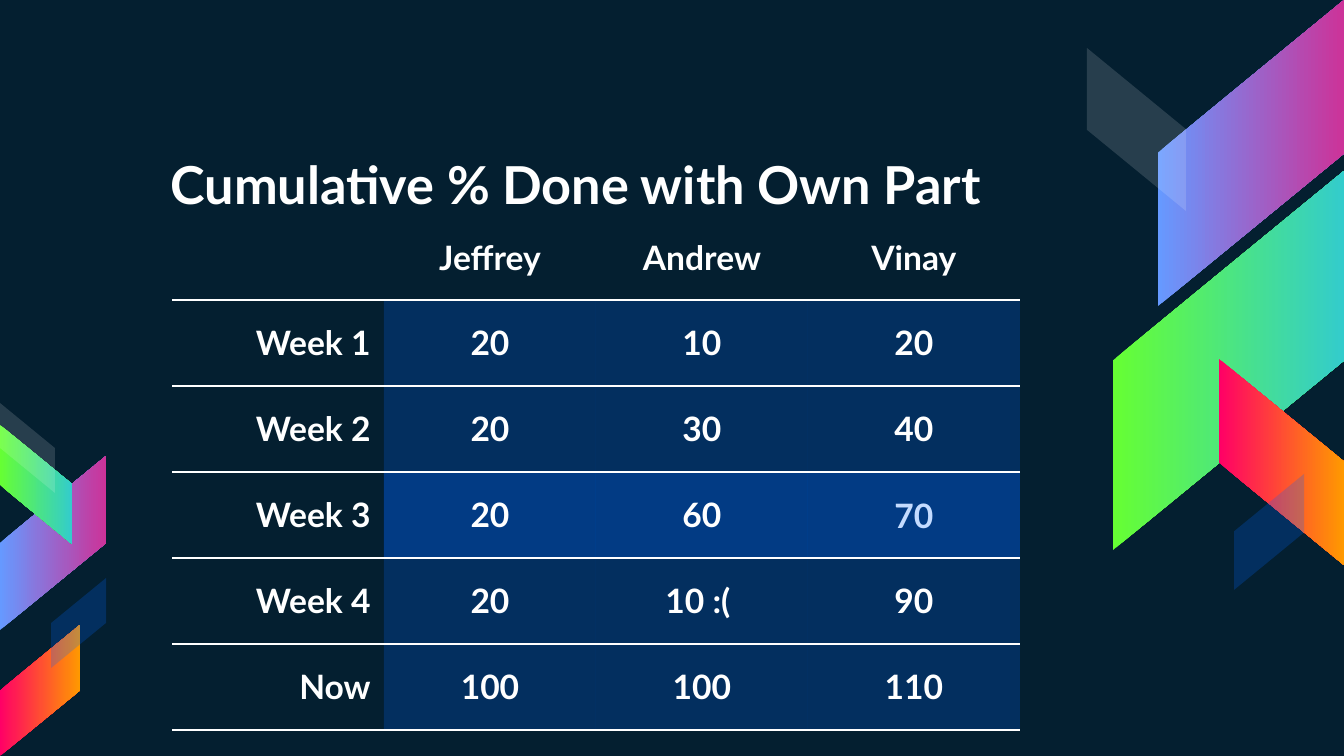
from lxml.etree import SubElement as Sub
from pptx import Presentation
from pptx.dml.color import RGBColor as RGB
from pptx.enum.shapes import MSO_SHAPE as Kind
from pptx.enum.text import MSO_ANCHOR as Anchor, MSO_AUTO_SIZE as Fit, PP_ALIGN as Align
from pptx.oxml.ns import qn
from pptx.util import Pt

NAVY = RGB(0x04, 0x1F, 0x30)
WHITE = RGB(0xFF, 0xFF, 0xFF)
BLUE = RGB(0x00, 0x66, 0xFF)
PINK = RGB(0xCC, 0x33, 0x99)
SKY = RGB(0x66, 0x99, 0xFF)
TEAL = RGB(0x33, 0xCC, 0xCC)
LIME = RGB(0x66, 0xFF, 0x33)
RED = RGB(0xFF, 0x00, 0x66)
GOLD = RGB(0xFF, 0x99, 0x00)
PLAIN = "{2D5ABB26-0587-4C30-8999-92F81FD0307C}"

SHARDS = [
    (1158, 0, 186, 306, True, SKY, PINK),
    (1113, 171, 231, 379, True, LIME, TEAL),
    (1219, 359, 125, 206, False, RED, GOLD),
    (1087, 48, 99, 163, False, WHITE, 14),
    (1234, 474, 70, 116, True, BLUE, 23),
    (0, 456, 106, 174, True, SKY, PINK),
    (0, 425, 72, 119, False, LIME, TEAL),
    (0, 625, 80, 131, True, RED, GOLD),
    (0, 403, 55, 90, False, WHITE, 14),
    (51, 578, 55, 90, True, BLUE, 23),
]
LATE = [
    ["", "", "", ""],
    ["", "", "", "70"],
    ["Week 4", "20", "10 :( ", "90"],
    ["Now", "100", "100", "110"],
]
EARLY = [
    ["", "Jeffrey", "Andrew", "Vinay"],
    ["Week 1", "20", "10", "20"],
    ["Week 2", "20", "30", "40"],
    ["Week 3", "20", "60", ""],
]


def px(n):
    return round(n * 9144000 / 1344)


class Deck:
    font = "Lato"

    def __init__(self):
        self.prs = Presentation()
        self.prs.slide_width, self.prs.slide_height = px(1344), px(756)
        self.slide = self.prs.slides.add_slide(self.prs.slide_layouts[5])
        back = self.slide.background.fill
        back.solid()
        back.fore_color.rgb = NAVY

    def label(self, frame, text, size, align):
        frame.text = text
        para = frame.paragraphs[0]
        para.alignment = align
        for run in para.runs:
            run.font.name = self.font
            run.font.size = Pt(size)
            run.font.bold = True
            run.font.color.rgb = WHITE

    def tint(self, fill, node, color, alpha):
        fill.solid()
        fill.fore_color.rgb = color
        tone = node.find(qn("a:solidFill")).find(qn("a:srgbClr"))
        Sub(tone, qn("a:alpha"), val=str(alpha * 1000))

    def title(self, x, y, w, h, text):
        box = self.slide.shapes.title
        box.left, box.top, box.width, box.height = map(px, (x, y, w, h))
        frame = box.text_frame
        frame.auto_size = Fit.NONE
        frame.vertical_anchor = Anchor.BOTTOM
        frame.margin_top = frame.margin_bottom = px(13)
        self.label(frame, text, 28, Align.LEFT)

    def shard(self, x, y, w, h, rise, color, end):
        left, top = x + (w - h) / 2, y + (h - w) / 2
        shape = self.slide.shapes.add_shape(
            Kind.PARALLELOGRAM, px(left), px(top), px(h), px(w))
        shape.adjustments[0] = 0.82
        shape.rotation = 270
        shape.shadow.inherit = False
        shape.line.fill.background()
        props = shape.element.spPr
        if rise:
            props.find(qn("a:xfrm")).set("flipH", "1")
        if isinstance(end, int):
            self.tint(shape.fill, props, color, end)
        else:
            shape.fill.gradient()
            shape.fill.gradient_angle = 270
            for stop, tone in zip(shape.fill.gradient_stops, (color, end)):
                stop.color.rgb = tone

    def edge(self, node, tag):
        line = Sub(node, qn(tag), w=str(Pt(0.75)))
        fill = Sub(line, qn("a:solidFill"))
        Sub(fill, qn("a:srgbClr"), val=str(WHITE))

    def table(self, x, y, wide, high, rows):
        count = len(rows[0])
        frame = self.slide.shapes.add_table(
            len(rows), count, px(x), px(y), px(wide * count), px(high * len(rows)))
        grid = frame.table
        grid.first_row = grid.horz_banding = False
        grid._tbl.tblPr.find(qn("a:tableStyleId")).text = PLAIN
        for r, row in enumerate(rows):
            for c, text in enumerate(row):
                cell = grid.cell(r, c)
                cell.vertical_anchor = Anchor.MIDDLE
                self.label(cell.text_frame, text, 18, Align.CENTER if c else Align.RIGHT)
                node = cell._tc.get_or_add_tcPr()
                if r:
                    self.edge(node, "a:lnT")
                self.edge(node, "a:lnB")
                if r and c:
                    self.tint(cell.fill, node, BLUE, 23)
                else:
                    cell.fill.background()


def main():
    deck = Deck()
    for shard in SHARDS:
        deck.shard(*shard)
    deck.title(157, 134, 878, 94, "Cumulative % Done with Own Part")
    deck.table(172, 386, 212, 86, LATE)
    deck.table(172, 214, 212, 86, EARLY)
    deck.prs.save("out.pptx")


if __name__ == "__main__":
    main()
